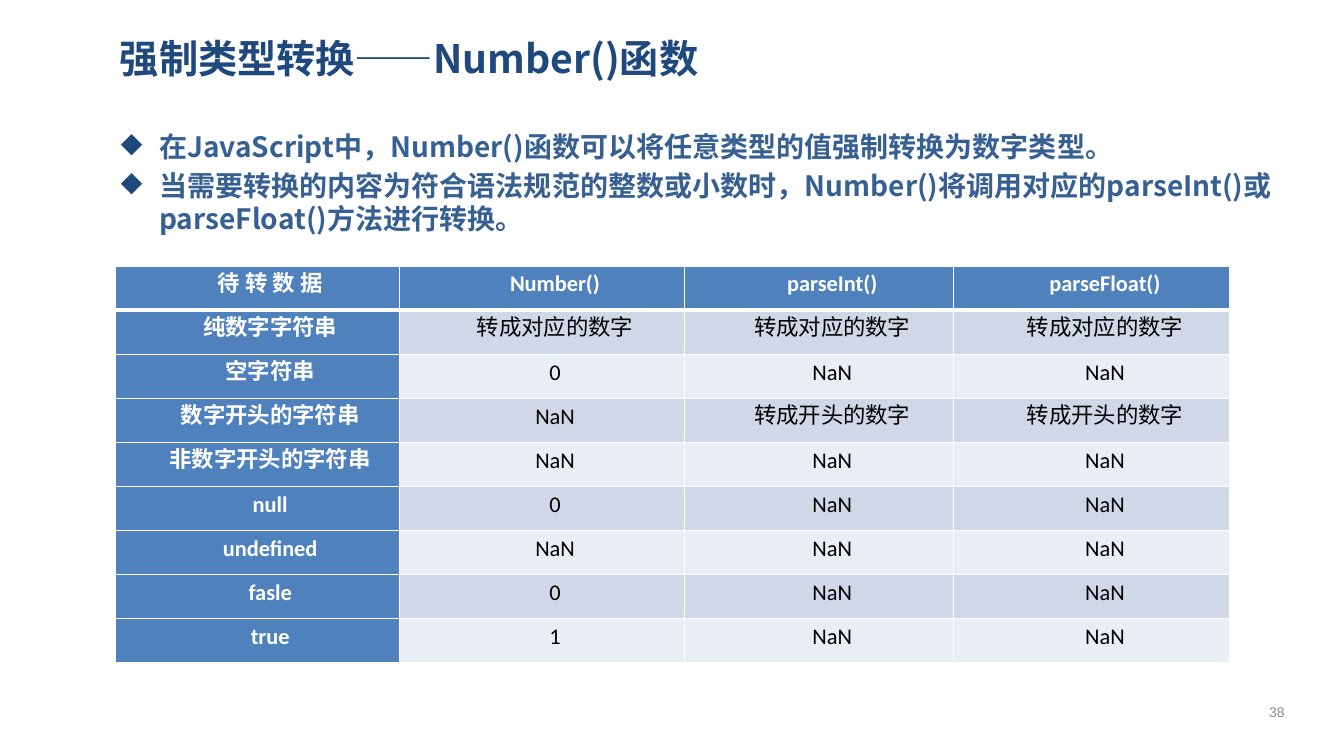
from lxml import etree
from pptx import Presentation
from pptx.dml.color import RGBColor
from pptx.enum import text
from pptx.oxml import ns
from pptx.util import Inches, Pt

CJK = "Noto Sans CJK SC"
NAVY = "1F497D"
BLUE = "4F81BD"
BANDS = ["D0D8E8", "E9EDF4"]
POINTS = [
    "在JavaScript中，Number()函数可以将任意类型的值强制转换为数字类型。",
    "当需要转换的内容为符合语法规范的整数或小数时，"
    "Number()将调用对应的parseInt()或parseFloat()方法进行转换。",
]
CONVERSIONS = [
    ["待 转 数 据", "Number()", "parseInt()", "parseFloat()"],
    ["纯数字字符串"] + ["转成对应的数字"] * 3,
    ["空字符串", "0", "NaN", "NaN"],
    ["数字开头的字符串", "NaN", "转成开头的数字", "转成开头的数字"],
    ["非数字开头的字符串", "NaN", "NaN", "NaN"],
    ["null", "0", "NaN", "NaN"],
    ["undefined", "NaN", "NaN", "NaN"],
    ["fasle", "0", "NaN", "NaN"],
    ["true", "1", "NaN", "NaN"],
]
COLUMN_WIDTHS = [2.82, 2.83, 2.67, 2.74]


def rgb(value):
    """Return the colour for a hex string."""
    return RGBColor.from_string(value)


def add_element(parent, tag, **attributes):
    """Append a DrawingML element to a parent."""
    return etree.SubElement(parent, ns.qn(tag), attributes)


def style(paragraph, size, color, bold=False, latin=CJK):
    """Set the font of a whole paragraph."""
    font = paragraph.font
    font.size, font.bold, font.name = Pt(size), bold, latin
    font.color.rgb = rgb(color)
    add_element(font._rPr, "a:ea", typeface=CJK)


def indent(paragraph, left, first):
    """Set the left margin and first-line indent in inches."""
    properties = paragraph._p.get_or_add_pPr()
    properties.set("marL", str(Inches(left)))
    properties.set("indent", str(Inches(first)))
    return properties


def add_text_box(slide, left, top, width, height, anchor):
    """Add a wrapping text box and return its frame."""
    frame = slide.shapes.add_textbox(
        Inches(left), Inches(top), Inches(width), Inches(height)).text_frame
    frame.word_wrap = True
    frame.vertical_anchor = anchor
    frame.margin_left = frame.margin_right = Inches(0.09)
    frame.margin_top = frame.margin_bottom = Inches(0.04)
    return frame


def add_label(slide, box, words, size, color, **font):
    """Add one line of vertically centred text."""
    paragraph = add_text_box(slide, *box, text.MSO_ANCHOR.MIDDLE).paragraphs[0]
    paragraph.text = words
    style(paragraph, size, color, **font)
    return paragraph


def add_bullets(slide, box, points):
    """Add a list with diamond bullets."""
    frame = add_text_box(slide, *box, text.MSO_ANCHOR.TOP)
    for number, point in enumerate(points):
        paragraph = frame.add_paragraph() if number else frame.paragraphs[0]
        paragraph.text = point
        properties = indent(paragraph, 0.38, -0.38)
        add_element(add_element(properties, "a:buClr"), "a:srgbClr", val=NAVY)
        add_element(properties, "a:buChar", char="◆")
        paragraph.line_spacing = 1.0
        if number:
            paragraph.space_before = Pt(4)
        style(paragraph, 20, "376092", bold=True)


def set_borders(cell, **widths):
    """Draw white cell borders with widths in points."""
    properties = cell._tc.get_or_add_tcPr()
    for side, width in widths.items():
        line = add_element(properties, f"a:ln{side}", w=str(Pt(width)))
        add_element(add_element(line, "a:solidFill"), "a:srgbClr", val="FFFFFF")


def fill_cell(cell, words, row, column):
    """Write and style one cell of the conversion table."""
    heading = row == 0 or column == 0
    set_borders(cell, L=1, R=1, T=3 if row == 1 else 1, B=1 if row else 3)
    cell.fill.solid()
    cell.fill.fore_color.rgb = rgb(BLUE if heading else BANDS[(row - 1) % 2])
    cell.vertical_anchor = text.MSO_ANCHOR.MIDDLE
    cell.margin_left = cell.margin_right = Inches(0.07)
    cell.margin_top = cell.margin_bottom = 0
    paragraph = cell.text_frame.paragraphs[0]
    paragraph.text = words
    paragraph.alignment = text.PP_ALIGN.CENTER
    paragraph.line_spacing = Pt(14)
    indent(paragraph, 0, 0.26)
    style(paragraph, 16, "FFFFFF" if heading else "000000", heading, "Calibri")


def add_conversion_table(slide):
    """Add the table comparing the conversion functions."""
    table = slide.shapes.add_table(
        len(CONVERSIONS), len(COLUMN_WIDTHS), Inches(1.14), Inches(2.64),
        Inches(sum(COLUMN_WIDTHS)), Inches(3.94)).table
    for column, width in zip(table.columns, COLUMN_WIDTHS):
        column.width = Inches(width)
    for row, entries in enumerate(CONVERSIONS):
        for column, words in enumerate(entries):
            fill_cell(table.cell(row, column), words, row, column)


def main():
    """Build the slide and save it."""
    deck = Presentation()
    deck.slide_width, deck.slide_height = Inches(13.33), Inches(7.5)
    slide = deck.slides.add_slide(deck.slide_layouts[6])
    add_bullets(slide, (1.11, 1.24, 11.65, 1.4), POINTS)
    add_label(slide, (1.1, 0.24, 11.65, 0.67),
              "强制类型转换——Number()函数", 28, NAVY, bold=True)
    page_number = add_label(slide, (12.34, 6.86, 0.65, 0.4),
                            "38", 10, "8C8C8C", latin="Arial")
    page_number.alignment = text.PP_ALIGN.CENTER
    add_conversion_table(slide)
    deck.save("out.pptx")


if __name__ == "__main__":
    main()
